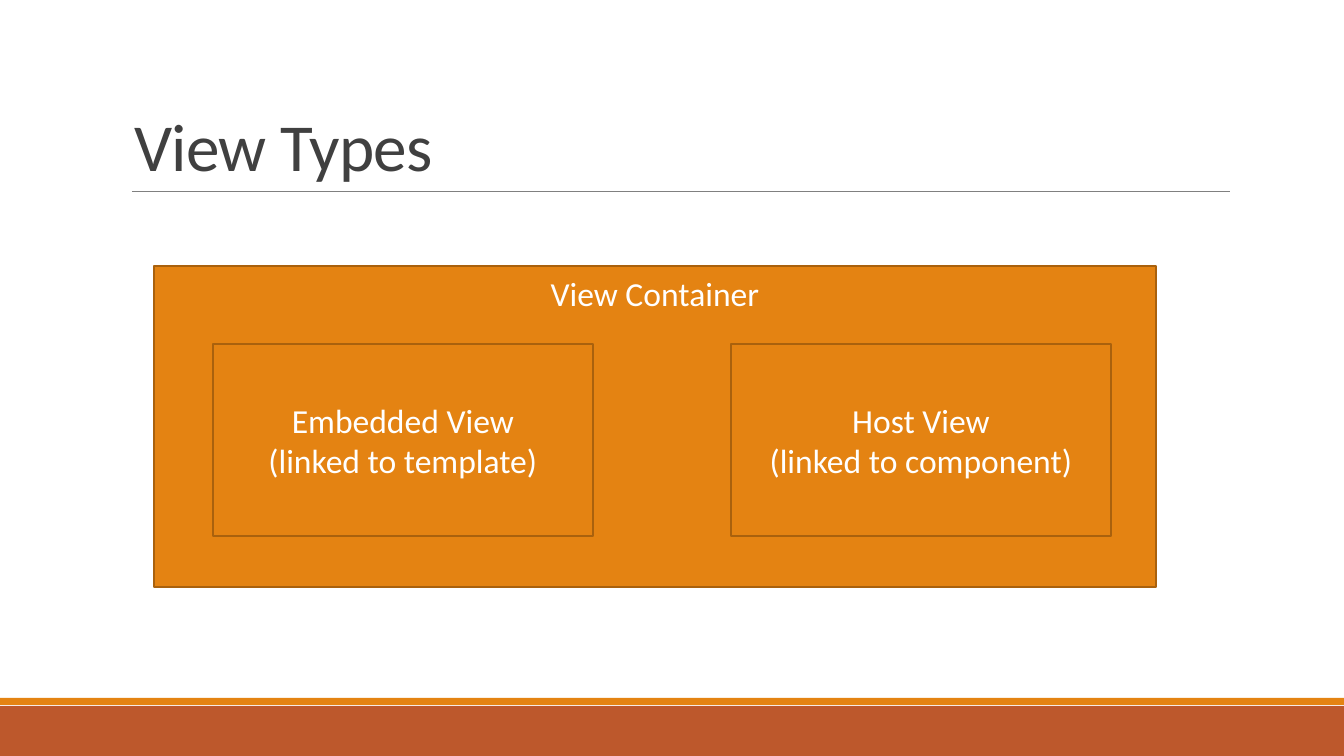
from pptx import Presentation
from pptx.dml.color import RGBColor
from pptx.enum.shapes import MSO_CONNECTOR, MSO_SHAPE
from pptx.enum.text import MSO_ANCHOR, PP_ALIGN
from pptx.oxml.ns import qn
from pptx.util import Pt
from lxml.etree import SubElement

PX = 914400 / 134.4
FONT = "Calibri"
COLORS = {
    "rust": "BD582C",
    "orange": "E48312",
    "border": "A9610D",
    "rule": "808080",
    "title": "404040",
    "white": "FFFFFF",
}
TITLE = "View Types"
CONTAINER = "View Container"
VIEWS = [
    "Embedded View\n(linked to template)",
    "Host View\n(linked to component)",
]
BANDS = [("rust", 706, 50), ("orange", 698, 7)]
WIDTH, HEIGHT = 1344, 756
VIEW_LEFT, VIEW_TOP, VIEW_W, VIEW_H, VIEW_STEP = 213, 344, 380, 192, 518


def px(*lengths):
    return [round(n * PX) for n in lengths]


def color(name):
    return RGBColor.from_string(COLORS[name])


def style_text(tf, size, name):
    for p in tf.paragraphs:
        for r in p.runs:
            r.font.name = FONT
            r.font.size = Pt(size)
            r.font.color.rgb = color(name)


def add_rect(s, box, fill, line=None, text="", anchor=MSO_ANCHOR.MIDDLE):
    sp = s.shapes.add_shape(MSO_SHAPE.RECTANGLE, *px(*box))
    sp.shadow.inherit = False
    sp.fill.solid()
    sp.fill.fore_color.rgb = color(fill)
    if line:
        sp.line.color.rgb = color(line)
        sp.line.width = Pt(1.25)
    else:
        sp.line.fill.background()
    if text:
        tf = sp.text_frame
        tf.text = text
        tf.word_wrap = True
        tf.vertical_anchor = anchor
        for p in tf.paragraphs:
            p.alignment = PP_ALIGN.CENTER
        style_text(tf, 18, "white")


def add_title(s):
    tf = s.shapes.add_textbox(*px(121, 32, 1109, 160)).text_frame
    tf.text = TITLE
    tf.word_wrap = True
    tf.vertical_anchor = MSO_ANCHOR.BOTTOM
    p = tf.paragraphs[0]
    p.line_spacing = 0.85
    style_text(tf, 36, "title")
    p.runs[0].font._element.set("spc", "-40")


def add_rule(s):
    line = s.shapes.add_connector(MSO_CONNECTOR.STRAIGHT, *px(132, 192, 1230, 192))
    line.line.color.rgb = color("rule")
    line.line.width = Pt(0.5)
    SubElement(line._element.spPr, qn("a:effectLst"))


def main():
    prs = Presentation()
    prs.slide_width, prs.slide_height = px(WIDTH, HEIGHT)
    s = prs.slides.add_slide(prs.slide_layouts[6])
    for fill, top, height in BANDS:
        add_rect(s, (0, top, WIDTH, height), fill)
    add_rule(s)
    add_rect(s, (154, 266, 1002, 321), "orange", "border", CONTAINER, MSO_ANCHOR.TOP)
    add_title(s)
    for i, text in enumerate(VIEWS):
        box = (VIEW_LEFT + i * VIEW_STEP, VIEW_TOP, VIEW_W, VIEW_H)
        add_rect(s, box, "orange", "border", text)
    prs.save("out.pptx")


if __name__ == "__main__":
    main()
